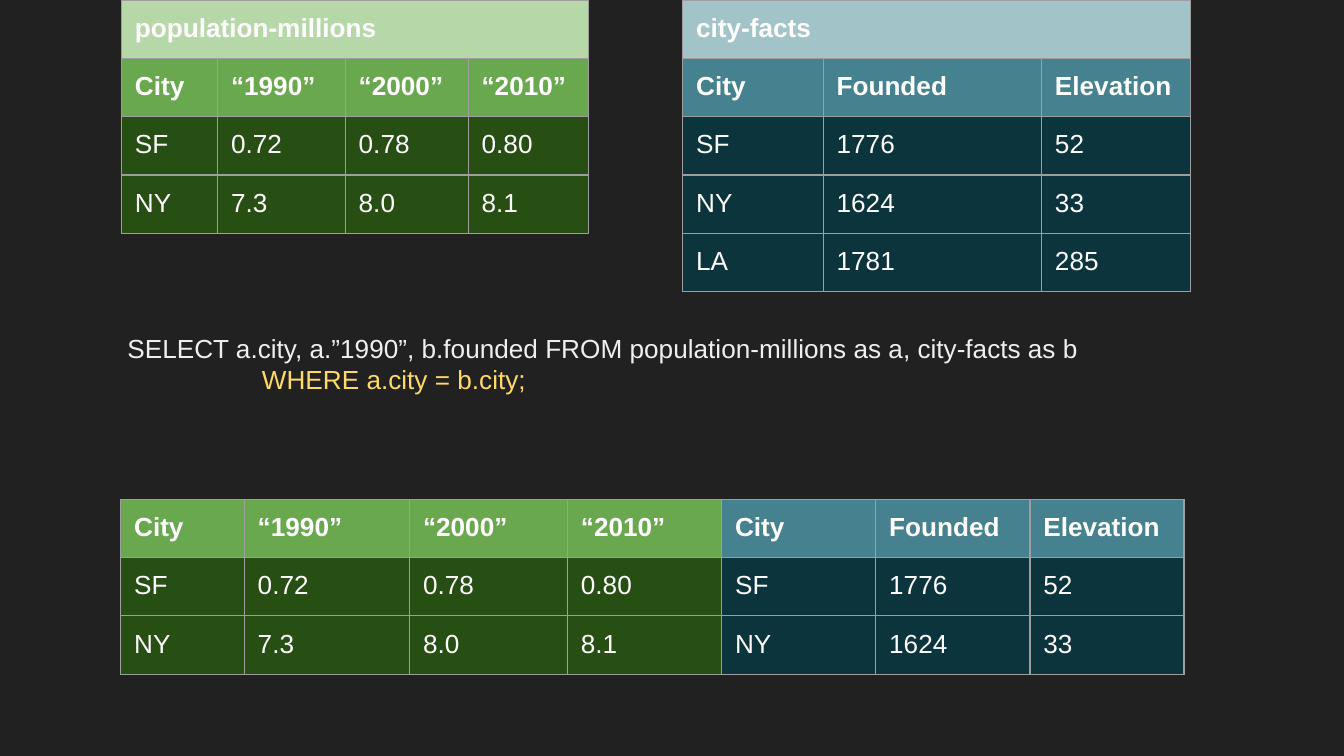
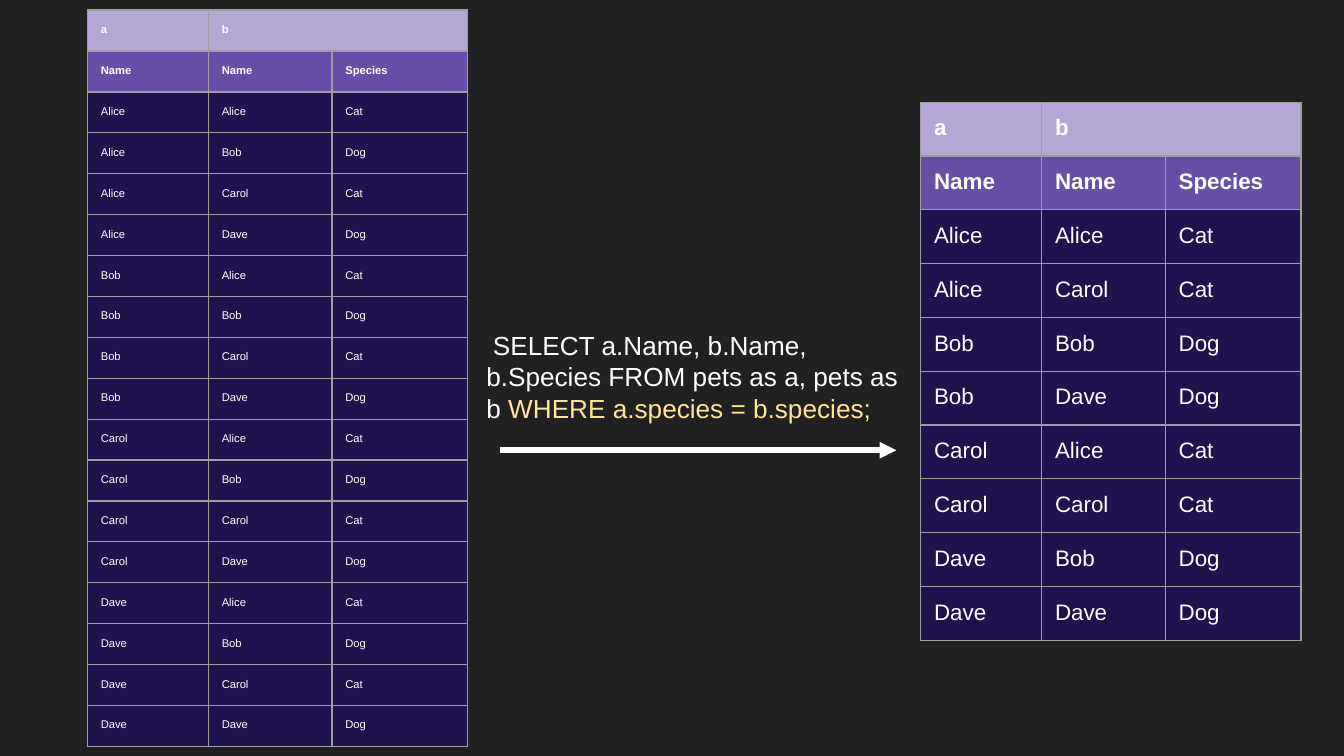
from itertools import product

from lxml.etree import SubElement as Sub
from pptx import Presentation
from pptx.dml.color import RGBColor as RGB
from pptx.enum.shapes import MSO_CONNECTOR as Link
from pptx.oxml.ns import qn
from pptx.util import Inches, Pt

NIGHT = RGB(0x21, 0x21, 0x21)
WHITE = RGB(0xFF, 0xFF, 0xFF)
PALE = RGB(0xEF, 0xEF, 0xEF)
GOLD = RGB(0xFF, 0xD9, 0x66)
CREAM = RGB(0xFF, 0xE5, 0x99)
GREY = RGB(0x9E, 0x9E, 0x9E)
LEAF = RGB(0xB6, 0xD7, 0xA8), RGB(0x6A, 0xA8, 0x4F), RGB(0x27, 0x4E, 0x13)
SEA = RGB(0xA2, 0xC4, 0xC9), RGB(0x45, 0x81, 0x8E), RGB(0x0C, 0x34, 0x3D)
PLUM = RGB(0xB4, 0xA7, 0xD6), RGB(0x67, 0x4E, 0xA7), RGB(0x20, 0x12, 0x4D)


class Deck:
    font = "Arial"
    size = 14
    pad = Inches(0.1)

    def __init__(self):
        self.show = Presentation()
        self.show.slide_width = Inches(10)
        self.show.slide_height = Inches(5.625)
        self.unit = self.show.slide_width / 100

    def grid(self, *cells):
        return [round(cell * self.unit) for cell in cells]

    def page(self):
        self.slide = self.show.slides.add_slide(self.show.slide_layouts[6])
        fill = self.slide.background.fill
        fill.solid()
        fill.fore_color.rgb = NIGHT

    def style(self, font, color, size, bold=False):
        font.name = self.font
        font.size = Pt(size)
        font.bold = bold
        font.color.rgb = color

    def inset(self, item):
        item.margin_left = item.margin_right = self.pad
        item.margin_top = item.margin_bottom = self.pad

    def border(self, cell):
        props = cell._tc.get_or_add_tcPr()
        for side in "LRTB":
            line = Sub(props, qn(f"a:ln{side}"), w=str(Pt(0.75)))
            Sub(Sub(line, qn("a:solidFill")), qn("a:srgbClr"), val=str(GREY))

    def table(self, left, top, high, wide, rows, tones, size=14, first=0):
        area = self.grid(left, top, sum(wide), high)
        frame = self.slide.shapes.add_table(len(rows), len(wide), *area)
        table = frame.table
        for col, width in zip(table.columns, self.grid(*wide)):
            col.width = width
        for r, row in enumerate(rows):
            level = min(r + first, 2)
            for c, (word, tone) in enumerate(zip(row, tones)):
                cell = table.cell(r, c)
                self.inset(cell)
                self.border(cell)
                cell.fill.solid()
                cell.fill.fore_color.rgb = tone[level]
                cell.text_frame.text = word or ""
                par = cell.text_frame.paragraphs[0]
                self.style(par.font, WHITE, size, level < 2)
                for run in par.runs:
                    self.style(run.font, WHITE, size, level < 2)
            if None in row:
                start = row.index(None) - 1
                table.cell(r, start).merge(table.cell(r, len(row) - 1))

    def query(self, left, top, wide, high, lines):
        box = self.slide.shapes.add_textbox(*self.grid(left, top, wide, high))
        frame = box.text_frame
        frame.word_wrap = True
        self.inset(frame)
        for n, (margin, indent, parts) in enumerate(lines):
            par = frame.add_paragraph() if n else frame.paragraphs[0]
            props = par._p.get_or_add_pPr()
            props.set("marL", str(Inches(margin)))
            props.set("indent", str(Inches(indent)))
            for words, color in parts:
                run = par.add_run()
                run.text = words
                self.style(run.font, color, self.size)

    def arrow(self, *ends):
        link = self.slide.shapes.add_connector(Link.STRAIGHT, *self.grid(*ends))
        link.line.color.rgb = WHITE
        link.line.width = Pt(3)
        Sub(link.line._get_or_add_ln(), qn("a:tailEnd"), type="triangle")
        Sub(link._element.spPr, qn("a:effectLst"))


def cities(deck):
    years = ["City", "“1990”", "“2000”", "“2010”"]
    people = [["SF", "0.72", "0.78", "0.80"], ["NY", "7.3", "8.0", "8.1"]]
    heads = ["City", "Founded", "Elevation"]
    facts = [["SF", "1776", "52"], ["NY", "1624", "33"], ["LA", "1781", "285"]]
    both = [a + b for a, b in zip([years] + people, [heads] + facts)]

    deck.page()
    deck.query(8.5, 23.7, 80, 5.9, [
        (0, 0, [("SELECT a.city, a.”1990”, b.founded FROM "
                 "population-millions as a, city-facts as b", PALE)]),
        (1, 0, [("WHERE a.city = b.city;", GOLD)]),
    ])
    deck.table(9.04, 0, 16.7, [7.15, 9.5, 9.15, 8.95],
               [["population-millions", None, None, None], years] + people,
               [LEAF] * 4)
    deck.table(50.8, 0, 21.05, [10.45, 16.25, 11.1],
               [["city-facts", None, None], heads] + facts, [SEA] * 3)
    deck.table(8.98, 37.15, 12.8, [9.2, 12.3, 11.75] + [11.47] * 4,
               both, [LEAF] * 4 + [SEA] * 3, first=1)


def pets(deck):
    kinds = {"Alice": "Cat", "Bob": "Dog", "Carol": "Cat", "Dave": "Dog"}
    heads = [["a", "b", None], ["Name", "Name", "Species"]]
    pairs = [[a, b, kinds[b]] for a, b in product(kinds, kinds)]
    same = [row for row in pairs if kinds[row[0]] == row[2]]
    wide = [9, 9.2, 10.1]

    deck.page()
    deck.table(68.5, 7.6, 38.7, wide, heads + same, [PLUM] * 3, 12)
    deck.query(35.2, 23.5, 34, 15, [
        (0, 0.05, [("SELECT a.Name, b.Name, b.Species FROM pets as a, "
                    "pets as b ", WHITE),
                   ("WHERE a.species = b.species;", CREAM)]),
    ])
    deck.table(6.5, 0.75, 54.8, wide, heads + pairs, [PLUM] * 3, 6)
    deck.arrow(37.2, 33.5, 66.7, 33.5)


def main():
    deck = Deck()
    cities(deck)
    pets(deck)
    deck.show.save("out.pptx")


if __name__ == "__main__":
    main()
